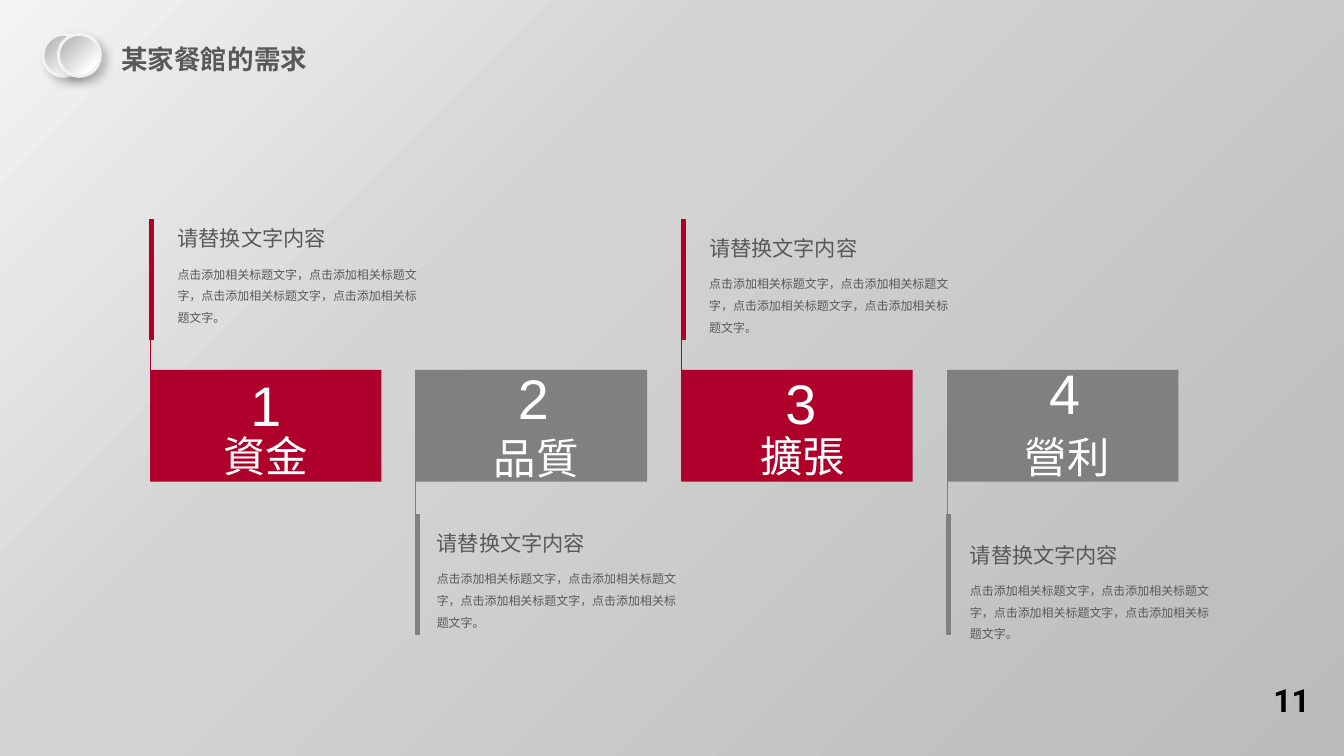
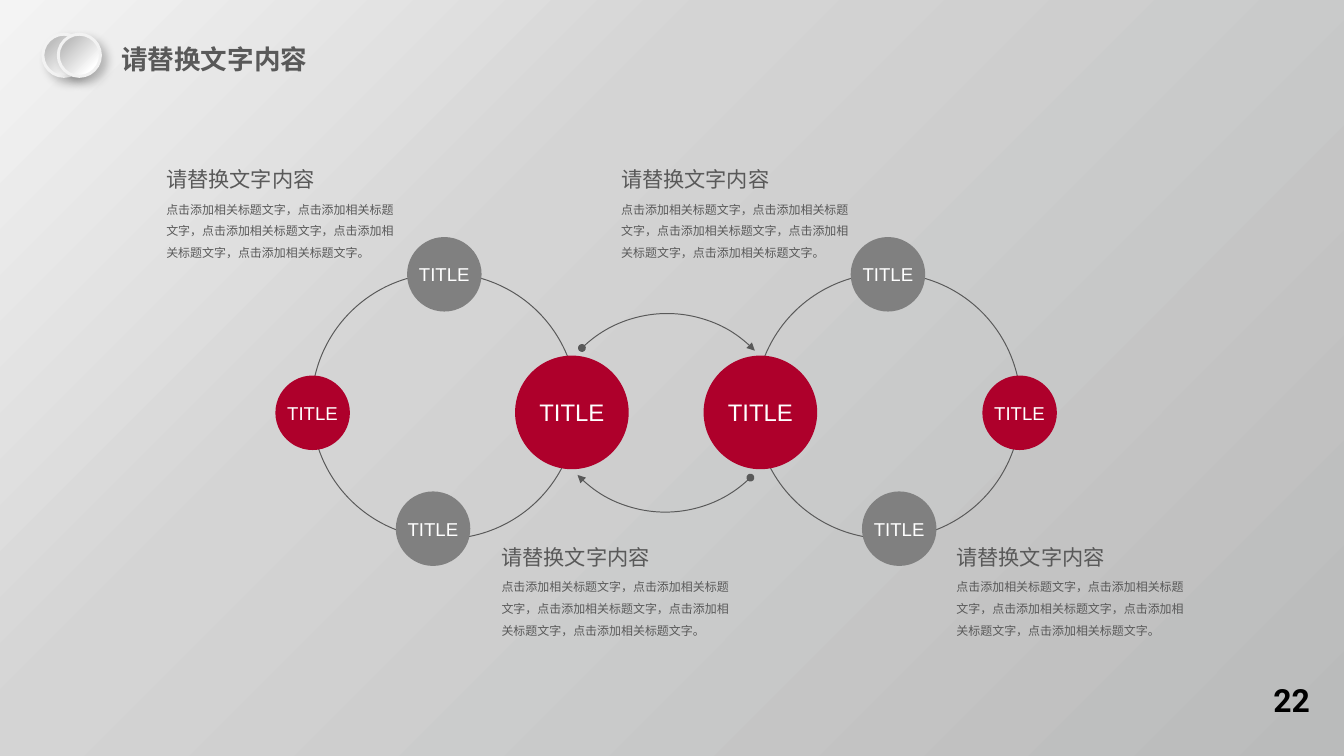
from copy import deepcopy

from lxml.etree import SubElement
from pptx import Presentation
from pptx.dml.color import RGBColor
from pptx.enum.shapes import MSO_CONNECTOR as Connector, MSO_SHAPE as Shape
from pptx.enum.text import MSO_ANCHOR as Anchor, MSO_AUTO_SIZE as AutoSize, PP_ALIGN as Align
from pptx.oxml.ns import qn
from pptx.util import Cm, Pt

RED = RGBColor(0xAE, 0x00, 0x2B)
GRAY = RGBColor(0x80, 0x80, 0x80)
TEXT = RGBColor(0x59, 0x59, 0x59)
WHITE = RGBColor(0xFF, 0xFF, 0xFF)
BLACK = RGBColor(0x00, 0x00, 0x00)
SILVER = RGBColor(0xBF, 0xBF, 0xBF)
RIM = RGBColor(0xF2, 0xF2, 0xF2)
PAGE_STOPS = [
    (0, RGBColor(0xF4, 0xF4, 0xF4)),
    (0.35, RGBColor(0xD4, 0xD4, 0xD4)),
    (1, RGBColor(0xBA, 0xBB, 0xBB)),
]
BADGE_STOPS = [(0.2, SILVER), (0.8, WHITE), (1, WHITE)]

HEADING = "请替换文字内容"
PHRASE = "点击添加相关标题文字"


def sentence(count):
    return "，".join([PHRASE] * count) + "。"


def write(frame, text, size=9, font="Arial", color=TEXT, bold=False, align=Align.LEFT,
          spacing=None, anchor=Anchor.TOP, insets=(0.25, 0.13), wrap=True, grow=False):
    """Fill a text frame with one formatted paragraph; insets are (sides, top and bottom)."""
    frame.word_wrap = wrap
    frame.auto_size = AutoSize.SHAPE_TO_FIT_TEXT if grow else AutoSize.NONE
    frame.vertical_anchor = anchor
    frame.margin_left = frame.margin_right = Cm(insets[0])
    frame.margin_top = frame.margin_bottom = Cm(insets[1])
    para = frame.paragraphs[0]
    para.alignment = align
    if spacing:
        para.line_spacing = spacing
    span = para.add_run()
    span.text = text
    span.font.size = Pt(size)
    span.font.bold = bold
    span.font.color.rgb = color
    span.font.name = font
    SubElement(span.font._element, qn("a:ea"), typeface="Calibri")


def paint_gradient(fill, stops):
    """Apply a diagonal gradient of three (position, colour) stops."""
    fill.gradient()
    fill.gradient_angle = 315
    last = fill.gradient_stops[1]._gs
    last.addnext(deepcopy(last))
    for stop, (position, color) in zip(fill.gradient_stops, stops):
        stop.position = position
        stop.color.rgb = color


class Deck:
    def __init__(self):
        self.deck = Presentation()
        self.deck.slide_width, self.deck.slide_height = Cm(35.72), Cm(20.09)
        self.page = None

    def new_page(self):
        self.page = self.deck.slides.add_slide(self.deck.slide_layouts[6])
        paint_gradient(self.page.background.fill, PAGE_STOPS)

    def finish_page(self, title, number):
        """Add the title, its badge and the page number."""
        self.text(title, 2.97, 1.02, 5.51, 1.12, size=20, font="Calibri", bold=True,
                  wrap=False, grow=True)
        for left in (1.14, 1.55):
            self.badge(left)
        self.text(number, 33.58, 17.96, 1.5, 1.27, size=24, font="Roboto", color=BLACK,
                  bold=True, align=Align.CENTER, grow=True)

    def text(self, text, left, top, width, height, **style):
        box = self.page.shapes.add_textbox(Cm(left), Cm(top), Cm(width), Cm(height))
        write(box.text_frame, text, **style)

    def shape(self, kind, left, top, width, height, fill=None, line=None, weight=0.75):
        shape = self.page.shapes.add_shape(kind, Cm(left), Cm(top), Cm(width), Cm(height))
        shape.shadow.inherit = False
        if fill is None:
            shape.fill.background()
        else:
            shape.fill.solid()
            shape.fill.fore_color.rgb = fill
        if line is None:
            shape.line.fill.background()
        else:
            shape.line.color.rgb = line
            shape.line.width = Pt(weight)
        return shape

    def badge(self, left):
        badge = self.shape(Shape.OVAL, left, 0.91, 1.12, 1.12, line=RIM, weight=2.25)
        paint_gradient(badge.fill, BADGE_STOPS)
        effects = badge._element.spPr.find(qn("a:effectLst"))
        shadow = SubElement(effects, qn("a:outerShdw"), blurRad=str(Pt(7)), dist=str(Pt(5.9)),
                            dir="2700000", algn="tl", rotWithShape="0")
        color = SubElement(shadow, qn("a:srgbClr"), val=str(BLACK))
        SubElement(color, qn("a:alpha"), val="23000")

    def circle(self, left, top, size, fill, font_size):
        circle = self.shape(Shape.OVAL, left, top, size, size, fill=fill)
        write(circle.text_frame, "TITLE", size=font_size, color=WHITE, align=Align.CENTER,
              anchor=Anchor.MIDDLE, insets=(0, 0))

    def vertical_line(self, left, start, end, color):
        line = self.page.shapes.add_connector(
            Connector.STRAIGHT, Cm(left), Cm(start), Cm(left), Cm(end))
        line.line.color.rgb = color
        line.line.width = Pt(0.5)
        SubElement(line._element.spPr, qn("a:effectLst"))

    def curved_arrow(self, left, top, rotation):
        """Draw a quarter circle with a dot at its start and an arrowhead at its end."""
        arc = self.shape(Shape.ARC, left, top, 6.5, 6.5, line=TEXT)
        arc.rotation = rotation
        outline = arc.line._get_or_add_ln()
        SubElement(outline, qn("a:headEnd"), type="oval")
        SubElement(outline, qn("a:tailEnd"), type="triangle")


def add_needs(deck):
    deck.new_page()
    # label, its left and top, number left and top, caption left and top
    needs = [
        ("資金", 4.24, 11.33, 5.49, 9.45, 4.72, 5.84),
        ("品質", 11.43, 10.95, 12.6, 9.53, 11.61, 13.94),
        ("擴張", 18.52, 11.33, 19.71, 9.4, 18.85, 6.1),
        ("營利", 25.55, 10.92, 26.72, 9.4, 25.78, 14.25),
    ]
    for index, need in enumerate(needs):
        label, label_left, label_top, number_left, number_top, left, top = need
        above = index % 2 == 0
        color = RED if above else GRAY
        block_left = 3.99 + 7.06 * index
        deck.vertical_line(block_left, *((5.84, 12.78) if above else (16.81, 9.83)), color)
        deck.shape(Shape.RECTANGLE, block_left, 5.84 if above else 13.67, 0.1, 3.18,
                   fill=color, line=color, weight=1)
        deck.shape(Shape.RECTANGLE, block_left, 9.83, 6.15, 2.97, fill=color)

        style = dict(color=WHITE, align=Align.CENTER, grow=not above,
                     anchor=Anchor.MIDDLE if above else Anchor.TOP)
        deck.text(label, label_left, label_top, 5.64, 1.17 if above else 1.85,
                  size=32, font="Noto Sans CJK SC", spacing=1.3, **style)
        deck.text(str(index + 1), number_left, number_top, 3.15, 2.06,
                  size=42, spacing=1.3 if above else None, **style)

        deck.text(HEADING, left, top, 7.39, 0.99, size=16, font="Lato",
                  anchor=Anchor.MIDDLE, insets=(0, 0.28))
        deck.text(sentence(4), left, top + 1.07, 6.38, 1.6, spacing=1.5, insets=(0, 0))
    deck.finish_page("某家餐館的需求", "11")


def add_cycles(deck):
    deck.new_page()
    both_edges = 35.41  # left edge of a circle plus right edge of its mirror image
    # left, top, size, fill, font size
    circles = [
        (13.69, 9.45, 3.02, RED, 18),
        (7.32, 9.98, 1.98, RED, 14),
        (10.82, 6.3, 1.98, GRAY, 14),
        (10.52, 13.06, 1.98, GRAY, 14),
    ]
    for mirrored in (False, True):
        def place(left, size):
            return both_edges - left - size if mirrored else left

        deck.shape(Shape.OVAL, place(8.28, 7.06), 7.26, 7.06, 7.06, line=TEXT)
        for left, top, size, fill, font_size in circles:
            deck.circle(place(left, size), top, size, fill, font_size)
    deck.curved_arrow(14.48, 8.33, 315.9)
    deck.curved_arrow(14.43, 7.11, 135.9)

    for row_left, top in ((13.08, 14.33), (4.17, 4.29)):
        for left in (row_left, row_left + 12.09):
            deck.text(sentence(5), left, top + 0.76, 6.55, 1.98, spacing=1.5, grow=True)
            deck.text(HEADING, left, top, 4.5, 0.94, size=16, font="Calibri",
                      wrap=False, grow=True)
    deck.finish_page(HEADING, "22")


def main():
    deck = Deck()
    add_needs(deck)
    add_cycles(deck)
    deck.deck.save("out.pptx")


if __name__ == "__main__":
    main()
